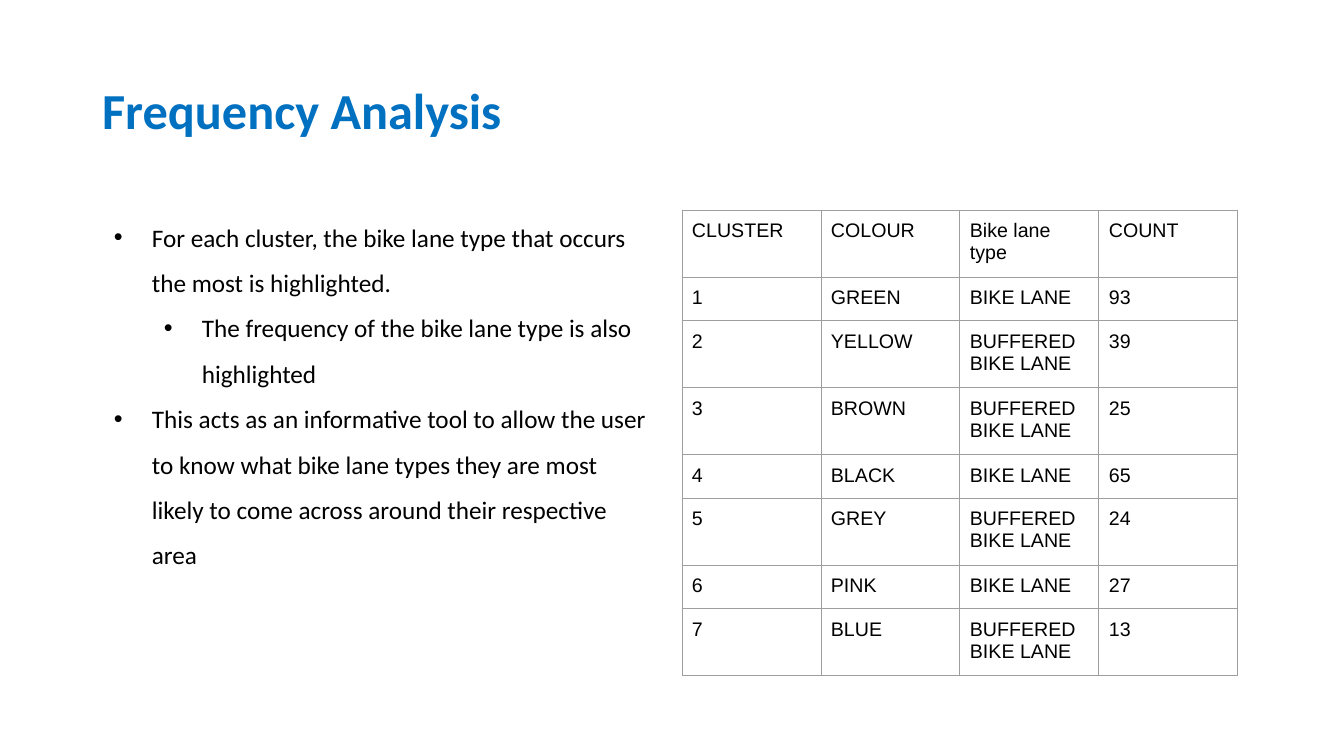
from lxml.etree import SubElement
from pptx import Presentation
from pptx.dml.color import RGBColor
from pptx.enum.text import MSO_ANCHOR, PP_ALIGN
from pptx.oxml.ns import qn
from pptx.util import Pt

PX = 9144000 / 1008


def px(n):
    return round(n * PX)


def style(font, **values):
    font.color.rgb = RGBColor.from_string(values.pop("color"))
    for name, value in values.items():
        setattr(font, name, value)


prs = Presentation()
prs.slide_width, prs.slide_height = px(1344), px(756)
s = prs.slides.add_slide(prs.slide_layouts[5])

title = s.shapes.title
title.left, title.top, title.width, title.height = px(92), px(40), px(1159), px(146)
tf = title.text_frame
tf.text = "Frequency Analysis"
tf.vertical_anchor = MSO_ANCHOR.MIDDLE
p = tf.paragraphs[0]
p.alignment = PP_ALIGN.LEFT
p.line_spacing = 0.9
style(p.runs[0].font, name="Calibri", size=Pt(36), bold=True, color="0070C0")

bullets = [
    (0, "For each cluster, the bike lane type that occurs the most is highlighted."),
    (1, "The frequency of the bike lane type is also highlighted"),
    (0, "This acts as an informative tool to allow the user to know what bike lane types "
        "they are most likely to come across around their respective area"),
]
tf = s.shapes.add_textbox(px(92), px(202), px(572), px(480)).text_frame
tf.word_wrap = True
for i, (level, text) in enumerate(bullets):
    p = tf.add_paragraph() if i else tf.paragraphs[0]
    p.level = level
    p.line_spacing = 1.5
    pPr = p._p.get_or_add_pPr()
    pPr.set("marL", str(px(50 + 50 * level)))
    pPr.set("indent", str(px(-38)))
    SubElement(pPr, qn("a:buFont")).set("typeface", "Arial")
    SubElement(pPr, qn("a:buChar")).set("char", "•")
    r = p.add_run()
    r.text = text
    style(r.font, name="Calibri", size=Pt(18), color="000000")

rows = [
    ("CLUSTER", "COLOUR", "Bike lane type", "COUNT"),
    ("1", "GREEN", "BIKE LANE", "93"),
    ("2", "YELLOW", "BUFFERED BIKE LANE", "39"),
    ("3", "BROWN", "BUFFERED BIKE LANE", "25"),
    ("4", "BLACK", "BIKE LANE", "65"),
    ("5", "GREY", "BUFFERED BIKE LANE", "24"),
    ("6", "PINK", "BIKE LANE", "27"),
    ("7", "BLUE", "BUFFERED BIKE LANE", "13"),
]
table = s.shapes.add_table(len(rows), 4, px(682), px(210), px(4 * 139), px(len(rows) * 42)).table
table.first_row = table.horz_banding = False
for i, row in enumerate(rows):
    for j, text in enumerate(row):
        cell = table.cell(i, j)
        cell.text = text
        for side in ("left", "top", "right", "bottom"):
            setattr(cell, f"margin_{side}", px(10))
        style(cell.text_frame.paragraphs[0].runs[0].font,
              name="Arial", size=Pt(14), color="000000")
        tcPr = cell._tc.get_or_add_tcPr()
        for edge in ("a:lnL", "a:lnR", "a:lnT", "a:lnB"):
            ln = SubElement(tcPr, qn(edge), w=str(Pt(0.75)))
            fill = SubElement(ln, qn("a:solidFill"))
            SubElement(fill, qn("a:srgbClr"), val="9E9E9E")
        cell.fill.background()

prs.save("out.pptx")
